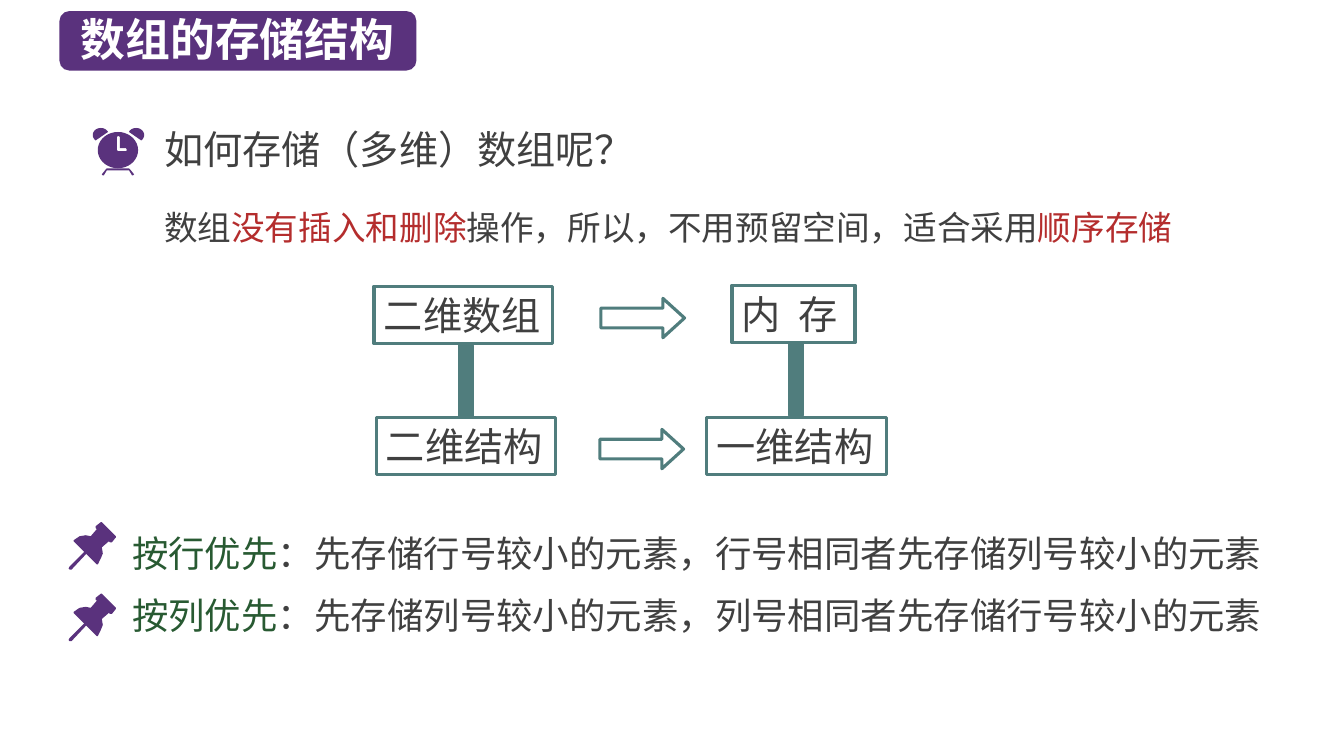
import math
from dataclasses import dataclass

import pptx
import pptx.dml.color
import pptx.enum.shapes
import pptx.enum.text
import pptx.oxml
import pptx.oxml.ns
import pptx.util
from pptx.util import Inches

SHAPE = pptx.enum.shapes.MSO_SHAPE
ALIGN = pptx.enum.text.PP_ALIGN


@dataclass(frozen=True)
class Theme:
    """Font, colours and type sizes of the slide."""
    font: str = "Noto Sans CJK SC"
    purple: str = "5A327D"
    teal: str = "507D7D"
    red: str = "B42D2D"
    green: str = "285A32"
    text: str = "404040"
    white: str = "FFFFFF"
    title: int = 32
    large: int = 28
    rule: int = 26
    note: int = 24


T = Theme()


def rgb(color):
    """Turn a hex string into a colour."""
    return pptx.dml.color.RGBColor.from_string(color)


def place(sp, left, top, width, height):
    """Move and size a shape, in inches."""
    sp.left, sp.top, sp.width, sp.height = map(Inches, (left, top, width, height))


def write(p, parts, size, bold=False):
    """Fill a paragraph with (text, colour) runs."""
    p.alignment = ALIGN.LEFT
    p.space_before = pptx.util.Pt(0)
    for text, color in parts:
        r = p.add_run()
        r.text = text
        r.font.name, r.font.size, r.font.bold = T.font, pptx.util.Pt(size), bold
        r.font.color.rgb = rgb(color)
        ea = pptx.oxml.parse_xml(
            f'<a:ea {pptx.oxml.ns.nsdecls("a")} typeface="{T.font}"/>')
        r.font._element.find(pptx.oxml.ns.qn("a:latin")).addnext(ea)


def set_frame(sp, wrap=True):
    """Give a text frame fixed size and middle anchoring."""
    tf = sp.text_frame
    tf.word_wrap = wrap
    tf.auto_size = pptx.enum.text.MSO_AUTO_SIZE.NONE
    tf.vertical_anchor = pptx.enum.text.MSO_ANCHOR.MIDDLE
    return tf


def paint(sp, fill=None, line=None, weight=2.25):
    """Set fill and line; None leaves that part empty."""
    sp.shadow.inherit = False
    if fill:
        sp.fill.solid()
        sp.fill.fore_color.rgb = rgb(fill)
    else:
        sp.fill.background()
    if line:
        sp.line.color.rgb = rgb(line)
        sp.line.width = pptx.util.Pt(weight)
    else:
        sp.line.fill.background()


def add_shape(s, kind, box, **style):
    """Add a painted preset shape."""
    sp = s.shapes.add_shape(kind, *map(Inches, box))
    paint(sp, **style)
    return sp


def add_title(s, text):
    """Write the title on a rounded badge."""
    badge = add_shape(s, SHAPE.ROUNDED_RECTANGLE, (0.59, 0.11, 3.54, 0.59), fill=T.purple)
    s.shapes._spTree.insert(2, badge._element)
    place(s.shapes.title, 0.7, 0.06, 3.76, 0.64)
    write(set_frame(s.shapes.title).paragraphs[0], [(text, T.white)], T.title, True)


def add_text(s, box, parts, size):
    """Add one line of free text."""
    sp = s.shapes.add_textbox(*map(Inches, box))
    write(set_frame(sp).paragraphs[0], parts, size)


def add_box(s, text, left, top, width, spacing=0):
    """Add an outlined, labelled box."""
    sp = add_shape(s, SHAPE.RECTANGLE, (left, top, width, 0.57), line=T.teal)
    p = set_frame(sp, wrap=False).paragraphs[0]
    write(p, [(text, T.text)], T.large)
    if spacing:
        p.runs[0].font._element.set("spc", str(spacing * 100))


def add_arrow(s, left, top):
    """Add an outlined block arrow."""
    sp = add_shape(s, SHAPE.RIGHT_ARROW, (left, top, 0.83, 0.39), line=T.teal)
    sp.adjustments[1] = 0.55


def add_bar(s, left, top):
    """Add the thick bar that joins two boxes."""
    add_shape(s, SHAPE.RECTANGLE, (left, top, 0.15, 0.71),
              fill=T.teal, line=T.teal, weight=0.5)


def add_outline(s, *contours):
    """Add a purple freeform made of closed contours, in inches."""
    emu = [[(Inches(x), Inches(y)) for x, y in c] for c in contours]
    fb = s.shapes.build_freeform(*emu[0][0])
    fb.add_line_segments(emu[0][1:])
    for c in emu[1:]:
        fb.move_to(*c[0])
        fb.add_line_segments(c[1:])
    paint(fb.convert_to_shape(), fill=T.purple)


def arc(cx, cy, rx, ry, start, end):
    """Return points along an ellipse, angles in degrees."""
    return [(cx + rx * math.cos(math.radians(a)), cy + ry * math.sin(math.radians(a)))
            for a in range(start, end + 1, 10)]


def add_clock(s):
    """Draw the alarm clock: stand, two bells and a face with hands."""
    half = [(1.17, 1.67), (1.06, 1.67), (1.05, 1.68), (1.01, 1.73), (1.02, 1.74),
            (1.03, 1.74), (1.06, 1.69), (1.17, 1.69)]
    add_outline(s, half + [(2.34 - x, y) for x, y in reversed(half)])
    bell = arc(1, 1.34, 0.08, 0.07, 130, 330) + [(1.07, 1.31)]
    add_outline(s, bell)
    add_outline(s, [(2.35 - x, y) for x, y in bell])
    hands = [(1.16, 1.36), (1.17, 1.35), (1.18, 1.35), (1.19, 1.36), (1.19, 1.47),
             (1.25, 1.47), (1.26, 1.49), (1.25, 1.5), (1.17, 1.5), (1.16, 1.49)]
    add_outline(s, arc(1.17, 1.49, 0.2, 0.18, 0, 350), hands)


def add_pin(s, top):
    """Draw a push pin whose upper edge is at top."""
    head = [(1.15, 0.14), (1.01, 0), (1, 0), (0.95, 0.04), (0.95, 0.06), (0.96, 0.07),
            (0.9, 0.14), (0.85, 0.13), (0.79, 0.14), (0.73, 0.18), (0.73, 0.19),
            (0.96, 0.42), (0.97, 0.42), (1, 0.36), (1.02, 0.31), (1.01, 0.25),
            (1.08, 0.19), (1.09, 0.2), (1.11, 0.2), (1.15, 0.15)]
    needle = [(0.69, 0.47), (0.68, 0.46), (0.69, 0.44), (0.84, 0.29), (0.86, 0.29),
              (0.86, 0.31), (0.71, 0.47)]
    for part in (head, needle):
        add_outline(s, [(x, top + y) for x, y in part])


def add_rules(s, rules):
    """List the storage orders in the body placeholder, a pin beside each."""
    pitch = 0.71
    sp = s.placeholders[1]
    place(sp, 1.21, 5.17, 11.61, 1.25)
    tf = set_frame(sp)
    for i, (name, meaning) in enumerate(rules):
        p = tf.add_paragraph() if i else tf.paragraphs[0]
        write(p, [(name, T.green), (meaning, T.text)], T.rule)
        p.space_before = pptx.util.Pt(13.5 if i else 0)
        pPr = p._p.get_or_add_pPr()
        pPr.set("marL", "0")
        pPr.set("indent", "0")
        pPr.append(pptx.oxml.parse_xml(f'<a:buNone {pptx.oxml.ns.nsdecls("a")}/>'))
        add_pin(s, 5.18 + i * pitch)


def main():
    """Build and save the slide."""
    prs = pptx.Presentation()
    prs.slide_width, prs.slide_height = Inches(13.33), Inches(7.5)
    s = prs.slides.add_slide(prs.slide_layouts[1])
    add_title(s, "数组的存储结构")
    add_clock(s)
    add_text(s, (1.53, 1.19, 7.26, 0.57), [("如何存储（多维）数组呢？", T.text)], T.large)
    add_text(s, (1.53, 2, 10.72, 0.5),
             [("数组", T.text), ("没有插入和删除", T.red),
              ("操作，所以，不用预留空间，适合采用", T.text), ("顺序存储", T.red)], T.note)
    add_bar(s, 4.55, 3.43)
    add_bar(s, 7.82, 3.41)
    add_box(s, "二维数组", 3.71, 2.84, 1.77)
    add_box(s, "内 存", 7.26, 2.83, 1.22, spacing=3)
    add_box(s, "二维结构", 3.73, 4.14, 1.78)
    add_box(s, "一维结构", 7.01, 4.14, 1.78)
    add_arrow(s, 5.96, 2.96)
    add_arrow(s, 5.95, 4.26)
    add_rules(s, [("按行优先", "：先存储行号较小的元素，行号相同者先存储列号较小的元素"),
                  ("按列优先", "：先存储列号较小的元素，列号相同者先存储行号较小的元素")])
    prs.save("out.pptx")


main()
